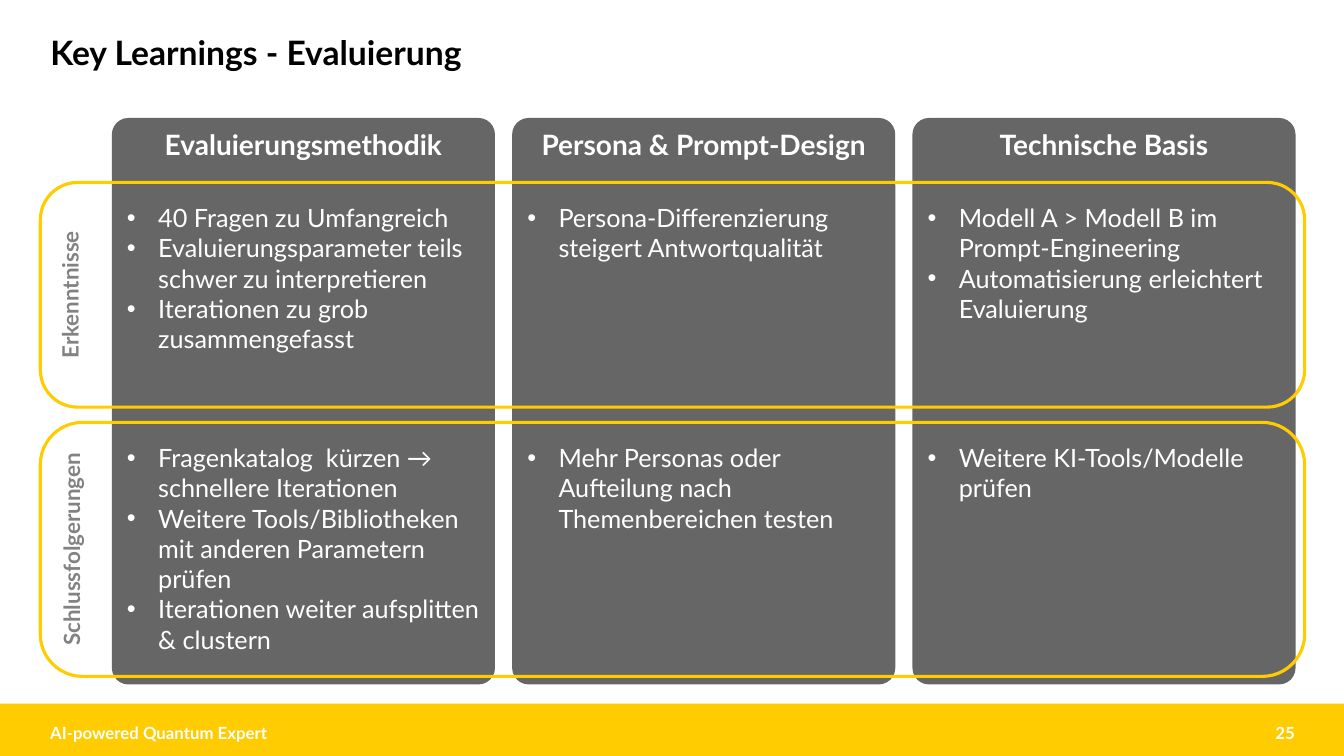
import pptx
import pptx.util
import pptx.dml.color
import pptx.enum.shapes
import pptx.enum.text
import pptx.oxml.ns
from lxml import etree

# Content
TITLE = "Key Learnings - Evaluierung"
FOOTER = "AI-powered Quantum Expert"
PAGE = "25"
TOPICS = ["Evaluierungsmethodik", "Persona & Prompt-Design", "Technische Basis"]
# label, top, height, bullets per topic
BANDS = [
    ("Erkenntnisse", 1.81, 2.23, [
        ["40 Fragen zu Umfangreich",
         "Evaluierungsparameter teils schwer zu interpretieren",
         "Iterationen zu grob zusammengefasst"],
        ["Persona-Differenzierung steigert Antwortqualität"],
        ["Modell A > Modell B im Prompt-Engineering",
         "Automatisierung erleichtert Evaluierung"],
    ]),
    ("Schlussfolgerungen", 4.19, 2.52, [
        ["Fragenkatalog  kürzen → schnellere Iterationen",
         "Weitere Tools/Bibliotheken mit anderen Parametern prüfen",
         "Iterationen weiter aufsplitten & clustern"],
        ["Mehr Personas oder Aufteilung nach Themenbereichen testen"],
        ["Weitere KI-Tools/Modelle prüfen"],
    ]),
]

# Style and grid, in inches
COLORS = {"yellow": "FECC00", "card": "676666", "label": "828282",
          "white": "FFFFFF", "black": "000000"}
FONT = "Lato"
SLIDE_W, SLIDE_H = 13.33, 7.5
MARGIN = 0.4
INNER_W = 12.54
FOOTER_H = 0.52
CARD_LEFT, CARD_TOP, CARD_W, CARD_H, CARD_GAP = 1.11, 1.17, 3.8, 5.62, 0.17
CARD_PAD = 0.15
BAND_PAD = 0.2
BULLET_INDENT = 0.31

Inches = pptx.util.Inches
ALIGN = pptx.enum.text.PP_ALIGN
ANCHOR = pptx.enum.text.MSO_ANCHOR
SHAPE = pptx.enum.shapes.MSO_SHAPE

deck = pptx.Presentation()
deck.slide_width, deck.slide_height = Inches(SLIDE_W), Inches(SLIDE_H)
slide = deck.slides.add_slide(deck.slide_layouts[6])


def color(name):
    return pptx.dml.color.RGBColor.from_string(COLORS[name])


def add_bullet(paragraph):
    properties = paragraph._p.get_or_add_pPr()
    properties.set("marL", str(Inches(BULLET_INDENT)))
    properties.set("indent", str(-Inches(BULLET_INDENT)))
    font = etree.SubElement(properties, pptx.oxml.ns.qn("a:buFont"))
    font.set("typeface", "Arial")
    bullet = etree.SubElement(properties, pptx.oxml.ns.qn("a:buChar"))
    bullet.set("char", "•")


def write(holder, *lines, size, ink="white", bold=True, align=ALIGN.LEFT,
          anchor=ANCHOR.TOP, bullets=False, spacing=None, inset=None):
    frame = holder.text_frame
    frame.word_wrap = True
    frame.vertical_anchor = anchor
    if inset is not None:
        frame.margin_left = frame.margin_right = Inches(inset)
        frame.margin_top = frame.margin_bottom = 0
    for i, line in enumerate(lines):
        paragraph = frame.paragraphs[0] if i == 0 else frame.add_paragraph()
        paragraph.alignment = align
        if spacing:
            paragraph.line_spacing = spacing
        if bullets:
            add_bullet(paragraph)
        run = paragraph.add_run()
        run.text = line
        run.font.name, run.font.size = FONT, pptx.util.Pt(size)
        run.font.bold, run.font.color.rgb = bold, color(ink)


def text_box(left, top, width, height):
    return slide.shapes.add_textbox(*map(Inches, (left, top, width, height)))


def panel(kind, left, top, width, height, fill=None, outline=None):
    shape = slide.shapes.add_shape(kind, *map(Inches, (left, top, width, height)))
    shape.shadow.inherit = False
    if fill:
        shape.fill.solid()
        shape.fill.fore_color.rgb = color(fill)
    else:
        shape.fill.background()
    if outline:
        shape.line.color.rgb = color(outline)
        shape.line.width = pptx.util.Pt(2.25)
    else:
        shape.line.fill.background()
    return shape


# Title and footer
footer_top = SLIDE_H - FOOTER_H
panel(SHAPE.RECTANGLE, 0, footer_top, SLIDE_W, FOOTER_H, fill="yellow")
write(text_box(MARGIN, 0.31, 9.41, 0.47), TITLE, size=24, ink="black",
      anchor=ANCHOR.MIDDLE, spacing=0.9)
for text, left, width, align in [
        (FOOTER, MARGIN, 4.5, ALIGN.LEFT),
        (PAGE, MARGIN + INNER_W - 3, 3, ALIGN.RIGHT)]:
    write(text_box(left, 7.16, width, 0.21), text, size=12, align=align,
          anchor=ANCHOR.MIDDLE, inset=0.1)

# Topic cards with the bullets of each band
for column, topic in enumerate(TOPICS):
    card_left = CARD_LEFT + column * (CARD_W + CARD_GAP)
    card = panel(SHAPE.ROUNDED_RECTANGLE, card_left, CARD_TOP, CARD_W, CARD_H,
                 fill="card")
    card.adjustments[0] = 0.043
    write(card, topic, size=20, align=ALIGN.CENTER)
    for label, top, height, findings in BANDS:
        box = text_box(card_left + CARD_PAD, top + BAND_PAD,
                       CARD_W - 2 * CARD_PAD, height - BAND_PAD)
        write(box, *findings[column], size=18, bold=False, bullets=True, inset=0)

# Outlined bands across the cards
for label, top, height, findings in BANDS:
    band = panel(SHAPE.ROUNDED_RECTANGLE, MARGIN, top, INNER_W, height,
                 outline="yellow")
    write(band, label, size=16, ink="label", align=ALIGN.CENTER)
    band.text_frame._txBody.bodyPr.set("vert", "vert270")

deck.save("out.pptx")
